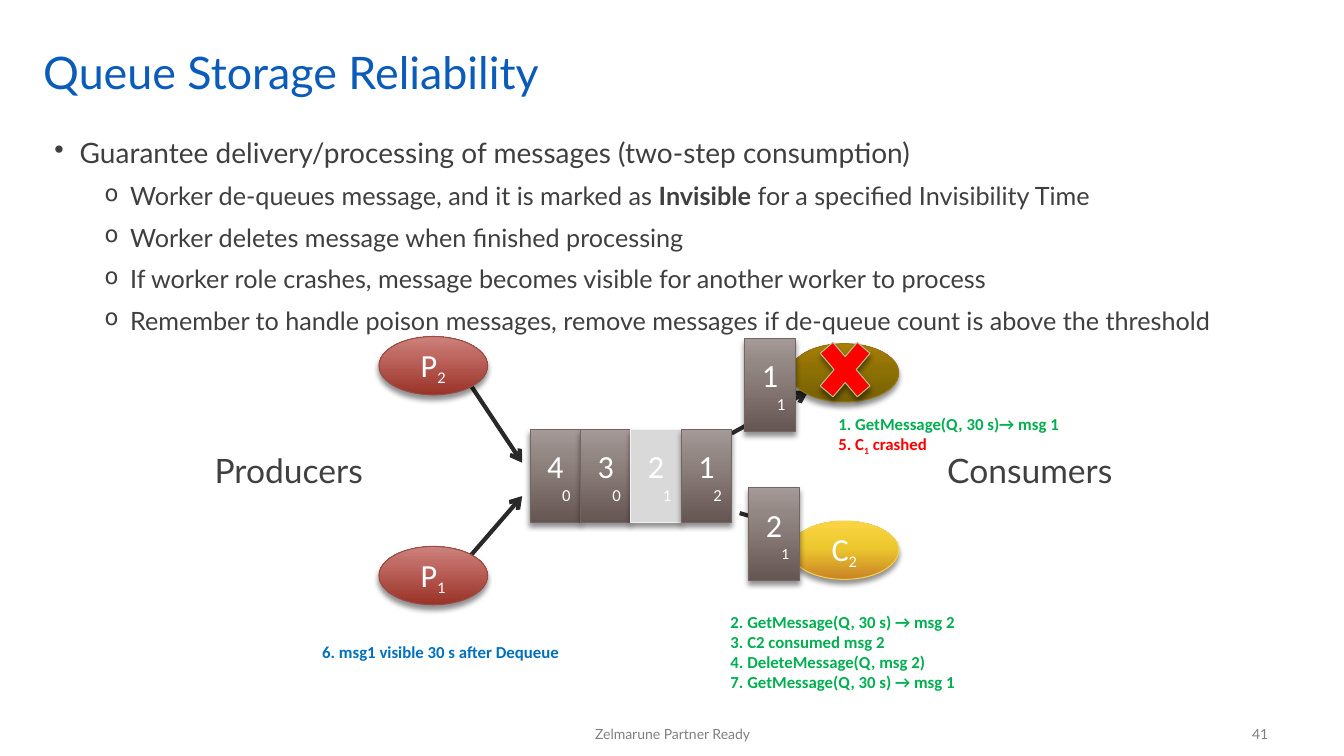
from copy import deepcopy

from lxml.etree import SubElement
from pptx import Presentation
from pptx.dml.color import RGBColor
from pptx.enum.shapes import MSO_CONNECTOR, MSO_SHAPE
from pptx.enum.text import MSO_ANCHOR, PP_ALIGN
from pptx.oxml.ns import qn
from pptx.util import Cm, Pt

WHITE, BODY, GREY, GREEN, RED = "FFFFFF", "3F3F3F", "808080", "00B050", "FF0000"
LEFT, CENTER, RIGHT = PP_ALIGN.LEFT, PP_ALIGN.CENTER, PP_ALIGN.RIGHT
TOP, MIDDLE = MSO_ANCHOR.TOP, MSO_ANCHOR.MIDDLE
QUEUE_GRADIENT = [(0, "665653"), (0.72, "938784"), (1, "A59A98")]
PRODUCER_GRADIENT = [(0, "993227"), (0.72, "C16B65"), (1, "CD827C")]
CRASHED_GRADIENT = [(0, "756005"), (0.55, "8D7005"), (1, "AA7F06")]
CONSUMER_GRADIENT = [(0, "C98325"), (0.55, "ECC82E"), (1, "FBD443")]

deck = Presentation()
deck.slide_width, deck.slide_height = Cm(33.87), Cm(19.05)
page = deck.slides.add_slide(deck.slide_layouts[6])


def write(frame, paragraphs):
    """Fill a text frame from (alignment, spans); a span is text, size, font, colour, style."""
    for index, (alignment, spans) in enumerate(paragraphs):
        para = frame.paragraphs[0] if index == 0 else frame.add_paragraph()
        para.alignment = alignment
        for text, size, font, colour, style in spans:
            span = para.add_run()
            span.text = text
            span.font.size = Pt(size)
            span.font.name = font
            span.font.color.rgb = RGBColor.from_string(colour)
            span.font.bold = "bold" in style
            if "sub" in style:
                span.font._element.set("baseline", "-25000")


def add_node(kind, left, top, width, height, fill, outline, paragraphs=()):
    """Add a shadowed shape; fill is one colour or a list of gradient stops."""
    node = page.shapes.add_shape(kind, Cm(left), Cm(top), Cm(width), Cm(height))
    if isinstance(fill, str):
        node.fill.solid()
        node.fill.fore_color.rgb = RGBColor.from_string(fill)
    else:
        node.fill.gradient()
        node.fill.gradient_angle = 90
        stops = node.element.spPr.find(".//" + qn("a:gsLst"))
        stops.append(deepcopy(stops[-1]))
        for stop, (position, colour) in zip(node.fill.gradient_stops, fill):
            stop.position = position
            stop.color.rgb = RGBColor.from_string(colour)
    node.line.color.rgb = RGBColor.from_string(outline)
    node.line.width = Pt(0.75)
    node.shadow.inherit = False
    effects = node.element.spPr.find(qn("a:effectLst"))
    shadow = SubElement(effects, qn("a:outerShdw"), blurRad="50800", dist="38100",
                        dir="5400000", rotWithShape="0")
    tint = SubElement(shadow, qn("a:srgbClr"), val="000000")
    SubElement(tint, qn("a:alpha"), val="43000")
    node.text_frame.vertical_anchor = MIDDLE
    write(node.text_frame, paragraphs)


# Bulleted text
bullets = [
    [("Guarantee delivery/processing of messages (two-step consumption)", "")],
    [("Worker de-queues message, and it is marked as ", ""), ("Invisible", "bold"),
     (" for a specified Invisibility Time", "")],
    [("Worker deletes message when finished processing", "")],
    [("If worker role crashes, message becomes visible for another worker to process", "")],
    [("Remember to handle poison messages, remove messages if de-queue count is above "
      "the threshold", "")],
]
box = page.shapes.add_textbox(Cm(1.12), Cm(3.18), Cm(31.04), Cm(13.77))
box.text_frame.word_wrap = True
write(box.text_frame, [
    (LEFT, [(text, 18 if index else 20, "Lato", BODY, style) for text, style in spans])
    for index, spans in enumerate(bullets)])
for index, para in enumerate(box.text_frame.paragraphs):
    para.line_spacing = 1.14
    para.space_before = Pt(5 if index else 0)
    para.level = 1 if index else 0
    properties = para._p.get_or_add_pPr()
    properties.set("marL", str(Cm(1.91 if index else 0.64)))
    properties.set("indent", str(-Cm(0.64)))
    if index:
        SubElement(properties, qn("a:buSzPct"), val="90000")
    SubElement(properties, qn("a:buChar"), char="o" if index else "•")

# Arrows into and out of the queue
for x1, y1, x2, y2 in [(18.64, 12.93, 20.14, 13.36), (18.44, 10.92, 20.37, 9.86),
                       (11.89, 9.75, 13.16, 11.66), (11.86, 14, 13.16, 12.5)]:
    arrow = page.shapes.add_connector(MSO_CONNECTOR.STRAIGHT, Cm(x1), Cm(y1), Cm(x2), Cm(y2))
    arrow.line.color.rgb = RGBColor.from_string("292929")
    arrow.line.width = Pt(3)
    SubElement(arrow.element.spPr.find(qn("a:ln")), qn("a:tailEnd"), type="arrow")
    SubElement(arrow.element.spPr, qn("a:effectLst"))

# Producers and consumers
for left, top, letter, number, gradient, outline in [
        (19.91, 8.66, "", "", CRASHED_GRADIENT, "977515"),
        (19.91, 13.13, "C", "2", CONSUMER_GRADIENT, "F5D251"),
        (9.55, 8.48, "P", "2", PRODUCER_GRADIENT, "9A4B43"),
        (9.55, 13.77, "P", "1", PRODUCER_GRADIENT, "9A4B43")]:
    label = [(CENTER, [(letter, 23, "Calibri", WHITE, ""),
                       (number, 18, "Lato", WHITE, "sub")])] if letter else []
    add_node(MSO_SHAPE.OVAL, left, top, 2.74, 1.47, gradient, outline, label)

# Messages: the queue, then the two held by consumers
tile_width, queue_left, queue_top = 1.27, 13.36, 10.82
messages = [(queue_left + slot * tile_width, queue_top, *message) for slot, message in
            enumerate([("4", "0", 12), ("3", "0", 12), ("2", "1", 12), ("1", "2", 12)])]
messages += [(18.77, 8.53, "1", "1", 12), (18.87, 12.29, "2", "1", 11)]
for left, top, name, count, count_size in messages:
    invisible = top == queue_top and name == "2"
    add_node(MSO_SHAPE.RECTANGLE, left, top, tile_width, 2.34,
             "D9D9D9" if invisible else QUEUE_GRADIENT,
             "F2F2F2" if invisible else "716663",
             [(CENTER, [(name, 23, "Calibri", WHITE, "")]),
              (RIGHT, [(count, count_size, "Calibri", WHITE, "")])])

add_node(MSO_SHAPE.MATH_MULTIPLY, 20.4, 8.26, 1.8, 2.11, RED, "B1C28D")

# Title, labels, step notes and footer
consumer_steps = ["2. GetMessage(Q, 30 s) → msg 2", "3. C2 consumed msg 2",
                  "4. DeleteMessage(Q, msg 2)", "7. GetMessage(Q, 30 s) → msg 1"]
for left, top, width, height, anchor, wrap, paragraphs in [
        (0.84, 0.84, 31.32, 1.91, MIDDLE, True,
         [(LEFT, [("Queue Storage Reliability", 32, "Lato", "0A5BBA", "")])]),
        (5.16, 11.2, 4.29, 1.27, TOP, False,
         [(LEFT, [("Producers", 24, "Lato", "404040", "")])]),
        (23.62, 11.2, 4.72, 1.27, TOP, False,
         [(LEFT, [("Consumers", 24, "Lato", "404040", "")])]),
        (18.16, 15.29, 6.25, 2.31, TOP, False,
         [(LEFT, [(step, 12, "Calibri", GREEN, "bold")]) for step in consumer_steps]),
        (20.88, 10.29, 6.15, 1.27, TOP, False,
         [(LEFT, [("1. GetMessage(Q, 30 s)→ msg 1", 12, "Calibri", GREEN, "bold")]),
          (LEFT, [("5. C", 12, "Calibri", RED, "bold"),
                  ("1", 12, "Calibri", RED, "bold sub"),
                  (" crashed", 12, "Calibri", RED, "bold")])]),
        (7.87, 16.05, 8.05, 0.76, TOP, True,
         [(LEFT, [("6. msg1 visible 30 s after Dequeue", 12, "Calibri", "0070C0", "bold")])]),
        (13, 17.98, 7.9, 1.02, MIDDLE, True,
         [(CENTER, [("Zelmarune Partner Ready", 10, "Lato", GREY, "")])]),
        (24.59, 17.98, 7.62, 1.02, MIDDLE, True,
         [(RIGHT, [("41", 10, "Lato", GREY, "")])])]:
    box = page.shapes.add_textbox(Cm(left), Cm(top), Cm(width), Cm(height))
    box.text_frame.word_wrap = wrap
    box.text_frame.vertical_anchor = anchor
    write(box.text_frame, paragraphs)

deck.save("out.pptx")
